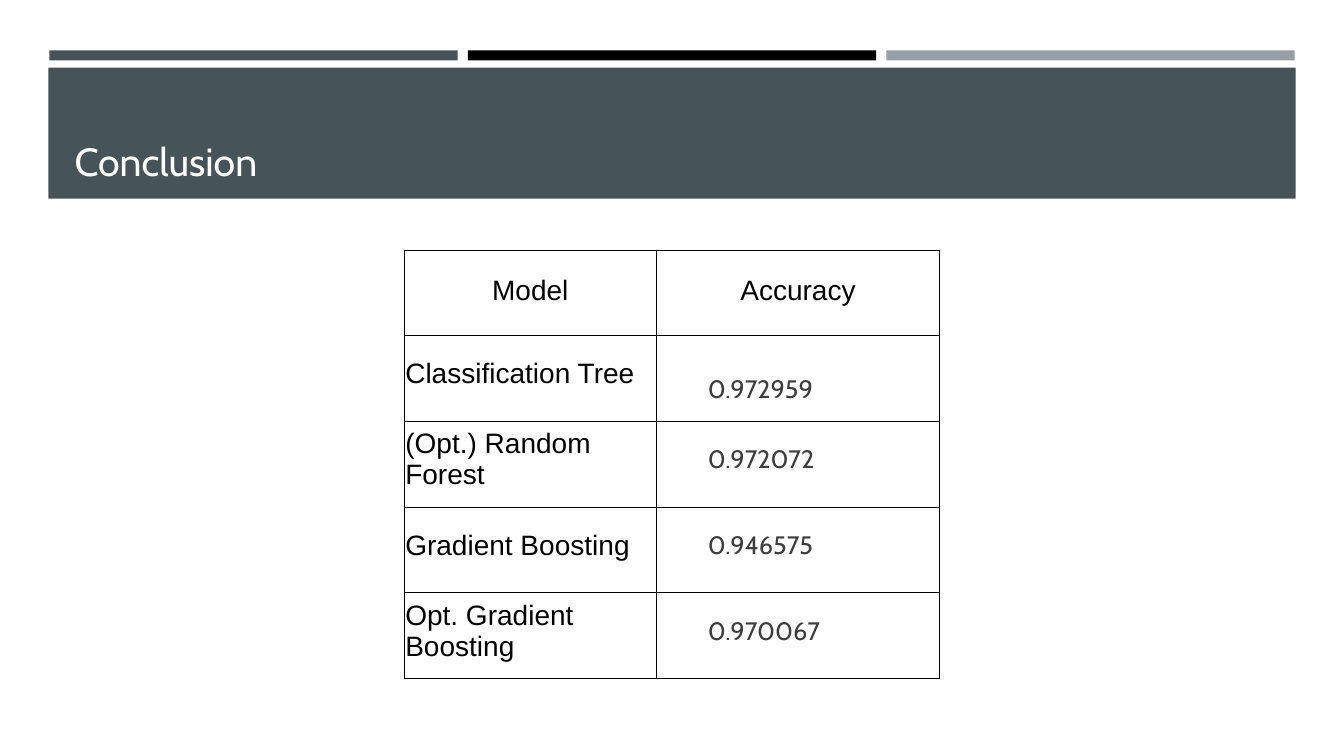
import pptx
import pptx.dml.color
import pptx.enum.shapes
import pptx.enum.text
import pptx.oxml
import pptx.oxml.ns
import pptx.util

COLORS = {
    "slate": "465359",
    "black": "000000",
    "gray": "969FA7",
    "white": "FFFFFF",
    "value": "3D3D3D",
}
Inches = pptx.util.Inches
Pt = pptx.util.Pt
ALIGN = pptx.enum.text.PP_ALIGN


def add_bar(left, top, width, height, color):
    bar = slide.shapes.add_shape(
        pptx.enum.shapes.MSO_SHAPE.RECTANGLE,
        Inches(left), Inches(top), Inches(width), Inches(height),
    )
    bar.shadow.inherit = False
    bar.fill.solid()
    bar.fill.fore_color.rgb = pptx.dml.color.RGBColor.from_string(COLORS[color])
    bar.line.fill.background()
    return bar


def set_font(para, name, size, color):
    para.font.name = name
    para.font.size = Pt(size)
    para.font.bold = False
    para.font.color.rgb = pptx.dml.color.RGBColor.from_string(COLORS[color])


deck = pptx.Presentation()
deck.slide_width = Inches(13.33)
deck.slide_height = Inches(7.5)
slide = deck.slides.add_slide(deck.slide_layouts.get_by_name("Title Only"))

for column, color in enumerate(["slate", "black", "gray"]):
    add_bar(0.49 + 4.15 * column, 0.5, 4.05, 0.1, color)
band = add_bar(0.48, 0.67, 12.37, 1.3, "slate")

title = slide.shapes.title
band.element.addnext(title.element)
title.left, title.top = Inches(0.64), Inches(0.77)
title.width, title.height = Inches(12.06), Inches(1.11)
title.text_frame.text = "Conclusion"
title.text_frame.vertical_anchor = pptx.enum.text.MSO_ANCHOR.BOTTOM
title.text_frame.auto_size = pptx.enum.text.MSO_AUTO_SIZE.NONE
title.text_frame.paragraphs[0].alignment = ALIGN.LEFT
set_font(title.text_frame.paragraphs[0], "Cabin", 28, "white")

results = [
    ("Model", "Accuracy"),
    ("Classification Tree", "0.972959"),
    ("(Opt.) Random Forest", "0.972072"),
    ("Gradient Boosting", "0.946575"),
    ("Opt. Gradient Boosting", "0.970067"),
]
column_widths = [2.5, 2.81]
row_height = 0.85
table = slide.shapes.add_table(
    len(results), len(column_widths), Inches(4.01), Inches(2.48),
    Inches(sum(column_widths)), Inches(row_height * len(results)),
).table
table.first_row = False
table.horz_banding = False
for column, width in zip(table.columns, column_widths):
    column.width = Inches(width)

for row_index, row in enumerate(results):
    table.rows[row_index].height = Inches(row_height)
    for column_index, text in enumerate(row):
        cell = table.cell(row_index, column_index)
        cell.text = text
        cell.vertical_anchor = pptx.enum.text.MSO_ANCHOR.MIDDLE
        cell.margin_left = cell.margin_right = cell.margin_top = Inches(0.01)
        cell.margin_bottom = Inches(0.1)
        para = cell.text_frame.paragraphs[0]
        set_font(para, "Arial", 20, "black")
        if row_index == 0:
            para.alignment = ALIGN.CENTER
            para.line_spacing = 1.15
        elif column_index == 1:
            set_font(para, "Cabin", 18, "value")
            para.alignment = ALIGN.LEFT
            properties = para._p.get_or_add_pPr()
            properties.set("marL", str(Inches(0.5)))
            properties.set("indent", "0")
            if row_index == 1:
                para.line_spacing = 2.0
                para.space_after = Pt(8)
            else:
                para.space_before = para.space_after = Pt(6)
        cell_properties = cell._tc.get_or_add_tcPr()
        for side in ["lnL", "lnR", "lnT", "lnB"]:
            cell_properties.append(pptx.oxml.parse_xml(
                f'<a:{side} {pptx.oxml.ns.nsdecls("a")} w="{Pt(0.75)}"><a:solidFill>'
                f'<a:srgbClr val="{COLORS["black"]}"/></a:solidFill></a:{side}>'
            ))
        cell.fill.background()

deck.save("out.pptx")
